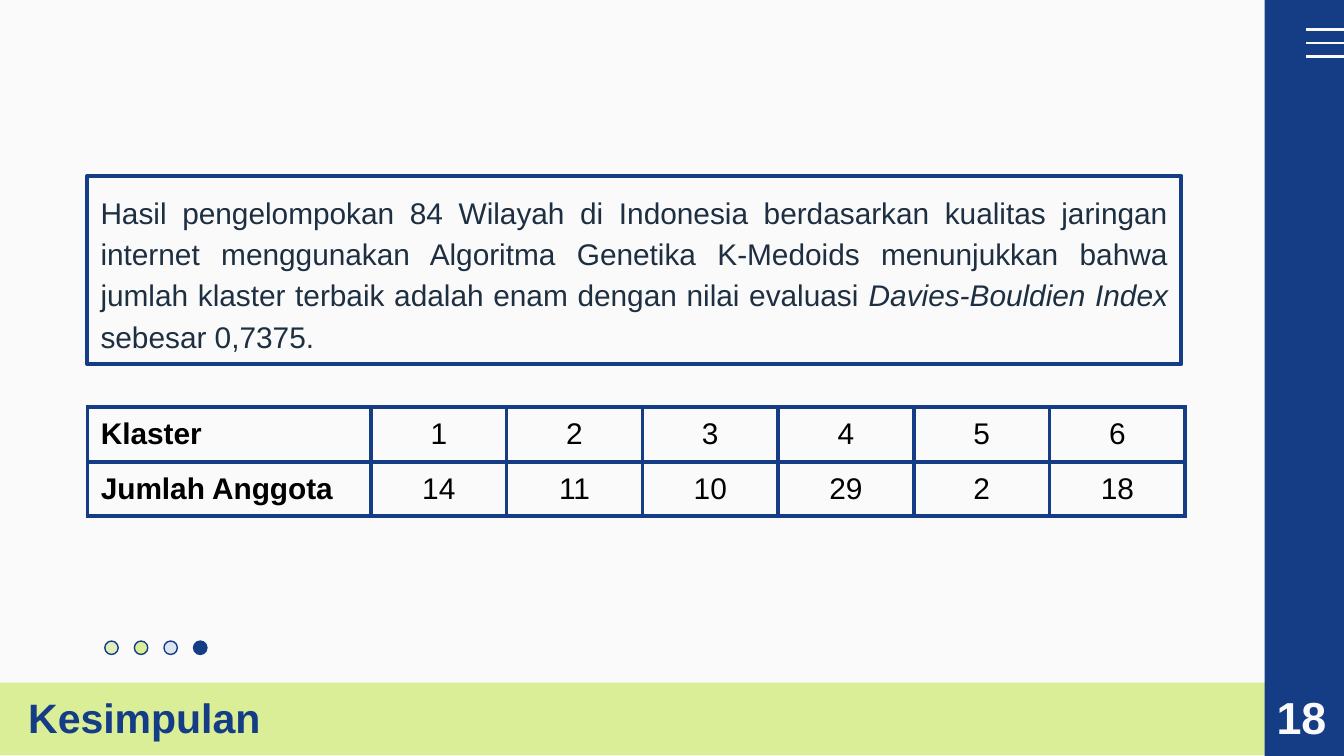
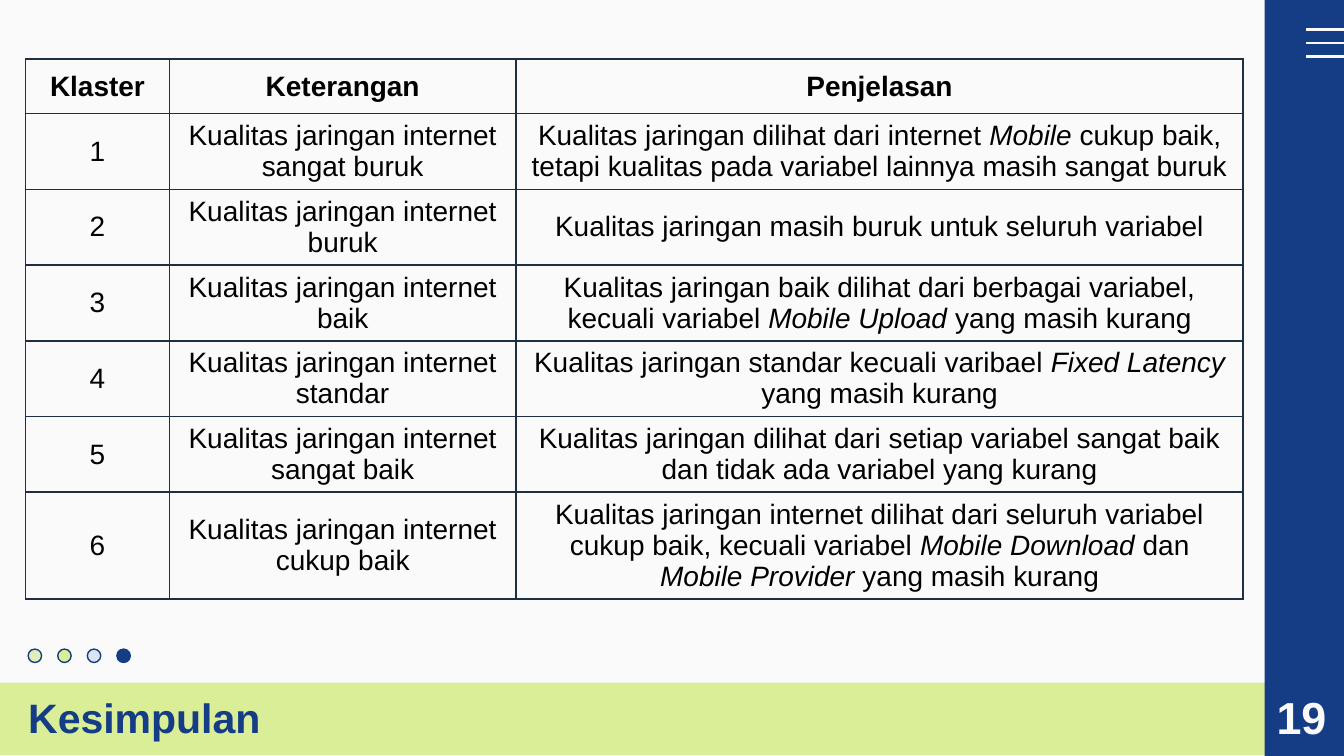
from lxml.etree import SubElement
from pptx import Presentation
from pptx.dml.color import RGBColor
from pptx.enum.shapes import MSO_CONNECTOR, MSO_SHAPE
from pptx.enum.text import MSO_ANCHOR, MSO_AUTO_SIZE, PP_ALIGN
from pptx.oxml.ns import qn
from pptx.util import Cm, Inches, Pt

# Content: text between asterisks is italic
TITLE = "Kesimpulan"
SUMMARY = (
    "Hasil pengelompokan 84 Wilayah di Indonesia berdasarkan kualitas jaringan internet "
    "menggunakan Algoritma Genetika K-Medoids menunjukkan bahwa jumlah klaster terbaik "
    "adalah enam dengan nilai evaluasi *Davies-Bouldien Index *sebesar 0,7375."
)
MEMBERS = [
    ("Klaster", "1", "2", "3", "4", "5", "6"),
    ("Jumlah Anggota", "14", "11", "10", "29", "2", "18"),
]
CLUSTER_HEADER = ("Klaster", "Keterangan", "Penjelasan")
QUALITY = "Kualitas jaringan internet "
CLUSTERS = [
    ("sangat buruk", "Kualitas jaringan dilihat dari internet *Mobile *cukup baik, "
                     "tetapi kualitas pada variabel lainnya masih sangat buruk"),
    ("buruk", "Kualitas jaringan masih buruk untuk seluruh variabel"),
    ("baik", "Kualitas jaringan baik dilihat dari berbagai variabel, "
             "kecuali variabel *Mobile Upload *yang masih kurang"),
    ("standar", "Kualitas jaringan standar kecuali varibael *Fixed Latency *yang masih kurang"),
    ("sangat baik", "Kualitas jaringan dilihat dari setiap variabel sangat baik "
                    "dan tidak ada variabel yang kurang"),
    ("cukup baik", "Kualitas jaringan internet dilihat dari seluruh variabel cukup baik, "
                   "kecuali variabel *Mobile Download *dan *Mobile Provider *yang masih kurang"),
]

# Shared look
FONT = "Arial"
NAVY, LIME, PAPER, INK, BLACK = "153D85", "DAEE97", "FAFAFA", "1D2F41", "000000"
DOT_FILLS = ["E1EEB9", LIME, "DCE4F2", NAVY]
ROW_HEIGHT = Cm(1.03)
MARGINS = dict.fromkeys(("margin_left", "margin_top", "margin_right", "margin_bottom"), Inches(0.1))


def color(value):
    return RGBColor.from_string(value)


def area(*lengths):
    return [Inches(length) for length in lengths]


def set_all(target, values):
    for name, value in values.items():
        setattr(target, name, value)


def write(frame, text, size, text_color, bold=False, align=PP_ALIGN.LEFT, spacing=None):
    para = frame.paragraphs[0]
    set_all(para, {"alignment": align, "line_spacing": spacing})
    for index, part in enumerate(text.split("*")):
        span = para.add_run()
        span.text = part
        set_all(span.font, {"name": FONT, "size": Pt(size), "bold": bold, "italic": index % 2 == 1})
        span.font.color.rgb = color(text_color)


def add_block(shapes, kind, place, fill=None, line=None, line_width=0.75):
    block = shapes.add_shape(kind, *area(*place))
    block.shadow.inherit = False
    if fill:
        block.fill.solid()
        block.fill.fore_color.rgb = color(fill)
    else:
        block.fill.background()
    if line:
        block.line.color.rgb = color(line)
        block.line.width = Pt(line_width)
    else:
        block.line.fill.background()
    return block


def add_menu_lines(page):
    group = page.shapes.add_group_shape()
    for index in range(3):
        y = 0.22 + 0.1 * index
        line = group.shapes.add_connector(MSO_CONNECTOR.STRAIGHT, *area(9.72, y, 10.08, y))
        line.line.color.rgb = color(PAPER)
        line.line.width = Pt(1.5)
        SubElement(line.element.spPr, qn("a:effectLst"))


def add_dots(page, left, top):
    group = page.shapes.add_group_shape()
    for index, fill in enumerate(DOT_FILLS):
        add_block(group.shapes, MSO_SHAPE.OVAL, (left + 0.22 * index, top, 0.1, 0.1), fill, NAVY)


def add_page(deck, number):
    page = deck.slides.add_slide(deck.slide_layouts[5])
    page.background.fill.solid()
    page.background.fill.fore_color.rgb = color(PAPER)

    # Bands and menu mark
    lime_band = add_block(page.shapes, MSO_SHAPE.RECTANGLE, (4.45, 0.61, 0.54, 9.48), LIME)
    lime_band.rotation = 90
    add_block(page.shapes, MSO_SHAPE.RECTANGLE, (9.41, 0, 0.6, 5.63), NAVY)
    add_menu_lines(page)

    # Title, brought in front of the lime band
    title = page.shapes.title
    title.element.getparent().append(title.element)
    set_all(title, dict(zip(("left", "top", "width", "height"), area(0.11, 5.01, 4.89, 0.61))))
    set_all(title.text_frame, {**MARGINS, "vertical_anchor": MSO_ANCHOR.BOTTOM,
                               "auto_size": MSO_AUTO_SIZE.NONE, "word_wrap": True})
    write(title.text_frame, TITLE, 22, NAVY, bold=True)
    return page


def add_page_number(page, number):
    box = page.shapes.add_textbox(*area(9.4, 5.08, 0.63, 0.5))
    set_all(box.text_frame, {"word_wrap": True, "auto_size": MSO_AUTO_SIZE.SHAPE_TO_FIT_TEXT})
    write(box.text_frame, str(number), 24, PAPER, bold=True)


def add_borders(cell, line_color, width):
    properties = cell._tc.get_or_add_tcPr()
    for side in ("lnL", "lnR", "lnT", "lnB"):
        border = SubElement(properties, qn(f"a:{side}"), w=str(Pt(width)))
        fill = SubElement(border, qn("a:solidFill"))
        SubElement(fill, qn("a:srgbClr"), val=line_color)


def add_grid(page, place, widths, rows, size, border, is_heading, heading_align):
    holder = page.shapes.add_table(len(rows), len(widths), *area(*place))
    table = holder.table
    set_all(table, {"first_row": False, "horz_banding": False})
    for column, width in zip(table.columns, widths):
        column.width = Inches(width)
    for r, row in enumerate(rows):
        table.rows[r].height = ROW_HEIGHT
        for c, text in enumerate(row):
            cell = table.cell(r, c)
            cell.vertical_anchor = MSO_ANCHOR.MIDDLE
            add_borders(cell, *border)
            cell.fill.background()
            bold = is_heading(r, c)
            write(cell.text_frame, text, size, BLACK, bold,
                  heading_align if bold else PP_ALIGN.CENTER)
    # The frame keeps the height that the wrapped rows need
    holder.height = Inches(place[3])


def build_summary(deck, number):
    page = add_page(deck, number)
    box = add_block(page.shapes, MSO_SHAPE.RECTANGLE, (0.65, 1.31, 8.14, 1.4), None, NAVY, 2.25)
    set_all(box.text_frame, {**MARGINS, "word_wrap": True, "vertical_anchor": MSO_ANCHOR.TOP})
    write(box.text_frame, SUMMARY, 16, INK, align=PP_ALIGN.JUSTIFY, spacing=1.15)
    add_grid(page, (0.65, 3.03, 8.16, 0.81), [2.11] + [1.01] * 6, MEMBERS, 16, (NAVY, 2.25),
             lambda row, column: column == 0, PP_ALIGN.LEFT)
    add_dots(page, 0.78, 4.77)
    add_page_number(page, number)


def build_clusters(deck, number):
    page = add_page(deck, number)
    rows = [CLUSTER_HEADER] + [
        (str(cluster), QUALITY + level, reason)
        for cluster, (level, reason) in enumerate(CLUSTERS, 1)
    ]
    add_grid(page, (0.19, 0.44, 9.06, 4.26), [1.07, 2.58, 5.41], rows, 15, (INK, 1),
             lambda row, column: row == 0, PP_ALIGN.CENTER)
    add_dots(page, 0.21, 4.83)
    add_page_number(page, number)


def main():
    deck = Presentation()
    deck.slide_width = Inches(10)
    deck.slide_height = deck.slide_width * 9 // 16
    build_summary(deck, 18)
    build_clusters(deck, 19)
    deck.save("out.pptx")


if __name__ == "__main__":
    main()
